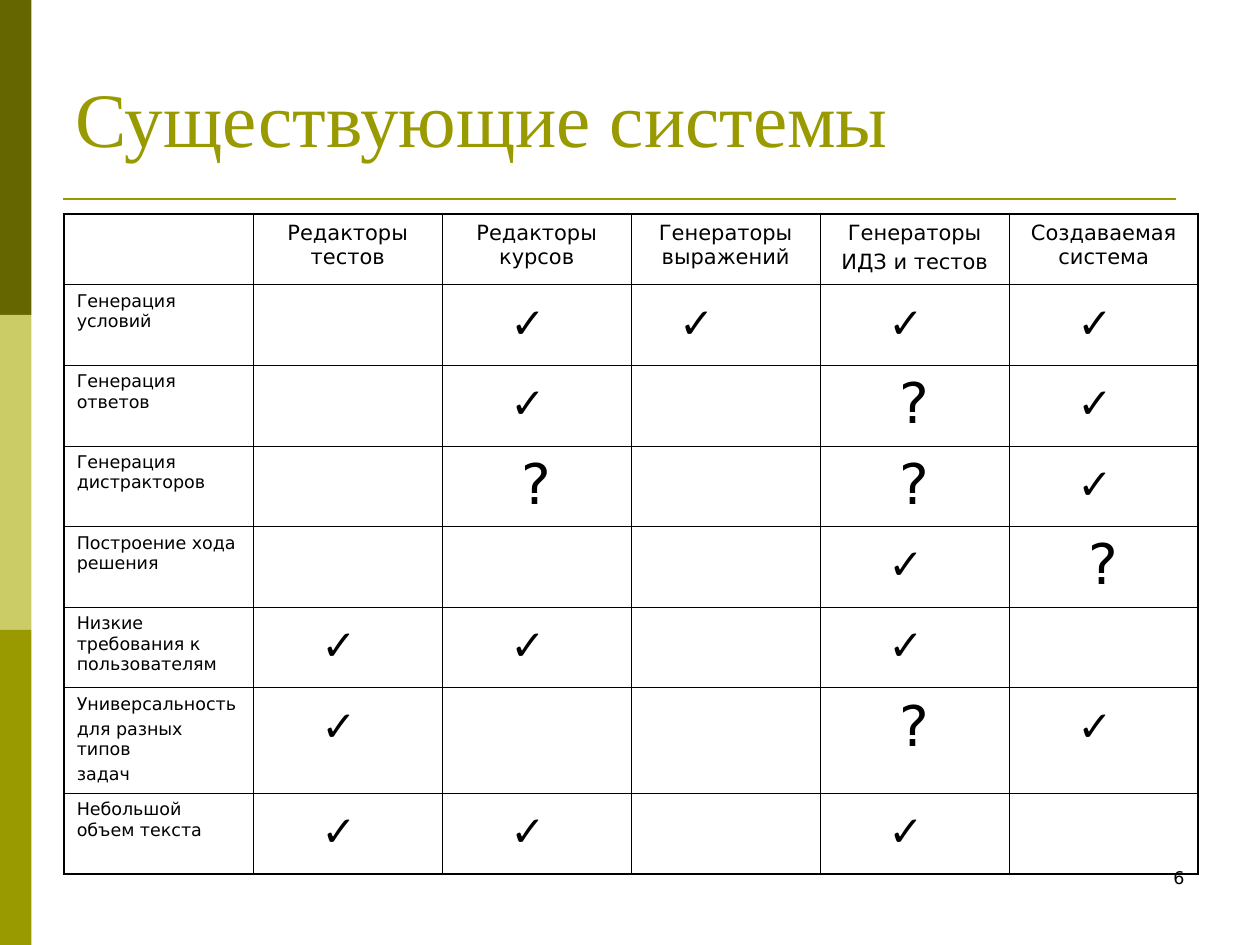
from lxml import etree
from pptx import Presentation
from pptx.dml.color import RGBColor
from pptx.enum.shapes import MSO_CONNECTOR as CONN, MSO_SHAPE as SHAPE
from pptx.enum.text import MSO_ANCHOR as ANCHOR, PP_ALIGN as ALIGN
from pptx.oxml import parse_xml
from pptx.oxml.ns import nsdecls, qn
from pptx.util import Inches, Pt

SANS, SERIF = "DejaVu Sans", "Times New Roman"
OLIVE, DARK, LIGHT, BLACK = "999900", "666600", "CCCC66", "000000"
THIN, THICK = 0.45, 1.08

HEADERS = ["", "Редакторы тестов", "Редакторы курсов", "Генераторы выражений",
           "Генераторы\nИДЗ и тестов", "Создаваемая система"]
FEATURES = [
    ("Генерация условий", " ✓✓✓✓"),
    ("Генерация ответов", " ✓ ?✓"),
    ("Генерация дистракторов", " ? ?✓"),
    ("Построение хода решения", "   ✓?"),
    ("Низкие требования к пользователям", "✓✓ ✓ "),
    ("Универсальность\nдля разных типов\nзадач", "✓  ?✓"),
    ("Небольшой объем текста", "✓✓ ✓ "),
]


def color(value):
    """Turn a hex string into a colour."""
    return RGBColor.from_string(value)


def add_bullet(p, char, percent):
    """Give a paragraph a bullet sized relative to its text."""
    pPr = p._p.get_or_add_pPr()
    pPr.set("marL", "0")
    pPr.set("indent", "0")
    for tag, name, value in (("buSzPct", "val", str(percent * 1000)),
                             ("buFont", "typeface", SANS), ("buChar", "char", char)):
        etree.SubElement(pPr, qn(f"a:{tag}")).set(name, value)


def write(tf, text, size=12, font=SANS, fill=BLACK, align=ALIGN.LEFT, gap=0, bullet=None):
    """Write one paragraph per line of text, with a gap between them."""
    tf.word_wrap = True
    for i, line in enumerate(text.split("\n")):
        p = tf.add_paragraph() if i else tf.paragraphs[0]
        if bullet:
            add_bullet(p, bullet, 75)
        p.alignment = align
        if i:
            p.space_before = Pt(gap)
        r = p.add_run()
        r.text = line
        r.font.size, r.font.name = Pt(size), font
        r.font.color.rgb = color(fill)


def add_text(s, x, y, w, h, text, anchor=ANCHOR.TOP, **fmt):
    """Add a text box."""
    tf = s.shapes.add_textbox(Inches(x), Inches(y), Inches(w), Inches(h)).text_frame
    tf.vertical_anchor = anchor
    write(tf, text, **fmt)


def add_sidebar(s, x, y, w, h):
    """Stack three equal colour bands."""
    band = h / 3
    for i, fill in enumerate((DARK, LIGHT, OLIVE)):
        sp = s.shapes.add_shape(SHAPE.RECTANGLE, Inches(x), Inches(y + i * band),
                                Inches(w), Inches(band))
        sp.shadow.inherit = False
        sp.fill.solid()
        sp.fill.fore_color.rgb = color(fill)
        sp.line.fill.background()


def add_heading(s, x, y, w, h, text):
    """Add the title and the rule below it."""
    add_text(s, x, y, w, h, text, anchor=ANCHOR.MIDDLE, size=44, font=SERIF, fill=OLIVE)
    rule_y = Inches(y + h + 0.03)
    rule = s.shapes.add_connector(CONN.STRAIGHT, Inches(x), rule_y,
                                  Inches(x + w - 0.17), rule_y)
    rule.line.color.rgb = color(OLIVE)
    rule.line.width = Pt(1.5)
    etree.SubElement(rule._element.spPr, qn("a:effectLst"))


def set_borders(cell, **widths):
    """Draw the cell borders, given as widths in points by side."""
    cell.fill.background()
    for i, (side, width) in enumerate(widths.items()):
        cell._tc.get_or_add_tcPr().insert(i, parse_xml(
            f'<a:ln{side} {nsdecls("a")} w="{Pt(width)}"><a:solidFill>'
            f'<a:srgbClr val="{BLACK}"/></a:solidFill></a:ln{side}>'))


def fill_mark(cell, mark):
    """Put a tick bullet or a question mark in a cell."""
    if mark == "✓":
        write(cell.text_frame, " ", size=32, align=ALIGN.CENTER, bullet=mark)
    else:
        write(cell.text_frame, mark, size=32, align=ALIGN.CENTER)


def add_comparison(s, x, y, w, h):
    """Add the table that compares the systems by feature."""
    rows, cols = len(FEATURES) + 1, len(HEADERS)
    table = s.shapes.add_table(rows, cols, Inches(x), Inches(y),
                               Inches(w), Inches(h)).table
    table.first_row = table.horz_banding = False
    for i, row in enumerate(table.rows):
        row.height = Inches(0.56 if i == 0 else 0.67 if i == 6 else 0.64)
        for j, cell in enumerate(row.cells):
            set_borders(cell, L=THIN if j else THICK, R=THICK if j == cols - 1 else THIN,
                        T=THIN if i else THICK, B=THICK if i == rows - 1 else THIN)
            cell.margin_left = cell.margin_right = Inches(0.1)
            cell.margin_top = cell.margin_bottom = Inches(0.05)
    for j, header in enumerate(HEADERS):
        if header:
            write(table.cell(0, j).text_frame, header, align=ALIGN.CENTER, gap=3)
    for i, (feature, marks) in enumerate(FEATURES, 1):
        write(table.cell(i, 0).text_frame, feature, size=10, gap=2.5)
        for j, mark in enumerate(marks, 1):
            if mark != " ":
                fill_mark(table.cell(i, j), mark)
    table.cell(1, 3).margin_right = Inches(0.42)


def main():
    """Build the slide."""
    prs = Presentation()
    prs.slide_width, prs.slide_height = Inches(10), Inches(7.5)
    s = prs.slides.add_slide(prs.slide_layouts[6])
    add_sidebar(s, 0, 0, 0.25, 7.5)
    add_text(s, 7.17, 6.83, 2.33, 0.5, "6", size=10, align=ALIGN.RIGHT)
    add_heading(s, 0.5, 0.3, 9, 1.25, "Существующие системы")
    add_comparison(s, 0.51, 1.7, 9, 5.07)
    prs.save("out.pptx")


if __name__ == "__main__":
    main()
